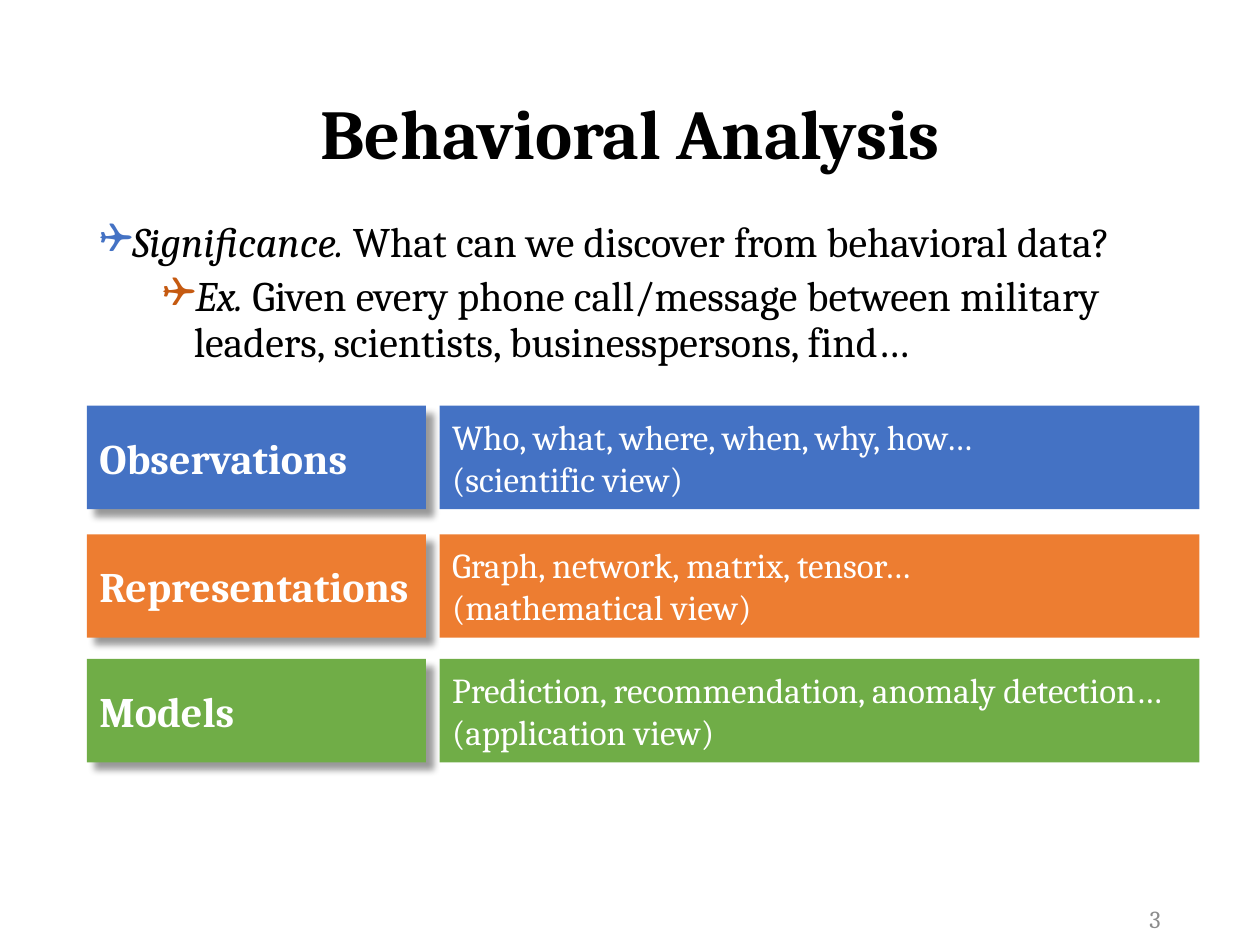
from lxml import etree
from pptx import Presentation
from pptx.dml.color import RGBColor
from pptx.enum.shapes import MSO_SHAPE
from pptx.enum.text import MSO_ANCHOR, PP_ALIGN
from pptx.oxml.ns import qn
from pptx.util import Inches, Pt

RECT = MSO_SHAPE.RECTANGLE
TOP, MIDDLE = MSO_ANCHOR.TOP, MSO_ANCHOR.MIDDLE
LEFT, CENTER, RIGHT = PP_ALIGN.LEFT, PP_ALIGN.CENTER, PP_ALIGN.RIGHT

FONT = "Cambria"
BLACK = RGBColor(0x00, 0x00, 0x00)
WHITE = RGBColor(0xFF, 0xFF, 0xFF)
GRAY = RGBColor(0x8C, 0x8C, 0x8C)
BLUE = RGBColor(0x44, 0x72, 0xC4)
ORANGE = RGBColor(0xED, 0x7D, 0x31)
GREEN = RGBColor(0x70, 0xAD, 0x47)
RUST = RGBColor(0xC5, 0x5A, 0x11)

MARGIN, WIDTH = 0.69, 8.62
POINTS = [
    ("Significance. ", "What can we discover from behavioral data?", BLUE),
    ("Ex. ", "Given every phone call/message between military leaders, "
     "scientists, businesspersons, find…", RUST),
]
ROWS = [
    (3.22, BLUE, "Observations",
     "Who, what, where, when, why, how…\n(scientific view)"),
    (4.24, ORANGE, "Representations",
     "Graph, network, matrix, tensor…\n(mathematical view)"),
    (5.23, GREEN, "Models",
     "Prediction, recommendation, anomaly detection… (application view)"),
]


def style(font, size, color, bold=False):
    font.name, font.size, font.bold = FONT, Pt(size), bold
    font.color.rgb = color


def write(shape, text, size, color, bold=False, align=LEFT):
    frame = shape.text_frame
    frame.word_wrap = True
    frame.vertical_anchor = MIDDLE
    frame.text = text
    for para in frame.paragraphs:
        para.alignment = align
        for run in para.runs:
            style(run.font, size, color, bold)


def add_text(slide, box, *args, **opts):
    shape = slide.shapes.add_textbox(*map(Inches, box))
    write(shape, *args, **opts)
    return shape


def add_bullet(para, level, color):
    props = para._p.get_or_add_pPr()
    props.set("marL", str(Inches(0.25 + 0.5 * level)))
    props.set("indent", str(Inches(-0.25)))
    tint = etree.SubElement(props, qn("a:buClr"))
    etree.SubElement(tint, qn("a:srgbClr"), val=str(color))
    etree.SubElement(props, qn("a:buFont"), typeface="Wingdings")
    etree.SubElement(props, qn("a:buChar"), char="❑")


def add_points(slide, box):
    frame = slide.shapes.add_textbox(*map(Inches, box)).text_frame
    frame.word_wrap = True
    frame.vertical_anchor = TOP
    for level, (lead, rest, color) in enumerate(POINTS):
        para = frame.add_paragraph() if level else frame.paragraphs[0]
        para.level = level
        add_bullet(para, level, color)
        para.line_spacing = 0.9
        if level:
            para.space_before = Pt(5)
        for text, slant in ((lead, True), (rest, False)):
            run = para.add_run()
            run.text = text
            style(run.font, 24, BLACK)
            run.font.italic = slant


def add_shadow(shape):
    effects = shape._element.spPr.find(qn("a:effectLst"))
    shade = etree.SubElement(
        effects, qn("a:outerShdw"), blurRad=str(Pt(4)), dist=str(Pt(6)),
        dir="2700000", algn="tl", rotWithShape="0")
    tint = etree.SubElement(shade, qn("a:srgbClr"), val=str(BLACK))
    etree.SubElement(tint, qn("a:alpha"), val="40000")


def add_block(slide, box, fill, text, size, bold=False):
    shape = slide.shapes.add_shape(RECT, *map(Inches, box))
    shape.shadow.inherit = False
    shape.fill.solid()
    shape.fill.fore_color.rgb = fill
    shape.line.fill.background()
    write(shape, text, size, WHITE, bold)
    return shape


def add_row(slide, box, fill, label, detail):
    """Place a shadowed label block and, to its right, a detail block."""
    left, top, width, height = box
    name, shift = 2.69, 2.8
    add_shadow(add_block(slide, (left, top, name, height),
                         fill, label, 24, True))
    add_block(slide, (left + shift, top, width - shift, height),
              fill, detail, 20)


def main():
    deck = Presentation()
    deck.slide_width, deck.slide_height = Inches(10), Inches(7.5)
    slide = deck.slides.add_slide(deck.slide_layouts[6])
    title = add_text(slide, (MARGIN, 0.67, WIDTH, 0.84),
                     "Behavioral Analysis", 40, BLACK, bold=True, align=CENTER)
    title.text_frame.paragraphs[0].line_spacing = 0.9
    add_points(slide, (MARGIN, 1.71, WIDTH, 5.34))
    add_text(slide, (7.06, 7.17, 2.25, 0.25), "3", 14, GRAY, align=RIGHT)
    for top, fill, label, detail in ROWS:
        add_row(slide, (MARGIN, top, 8.83, 0.82), fill, label, detail)
    deck.save("out.pptx")


if __name__ == "__main__":
    main()
